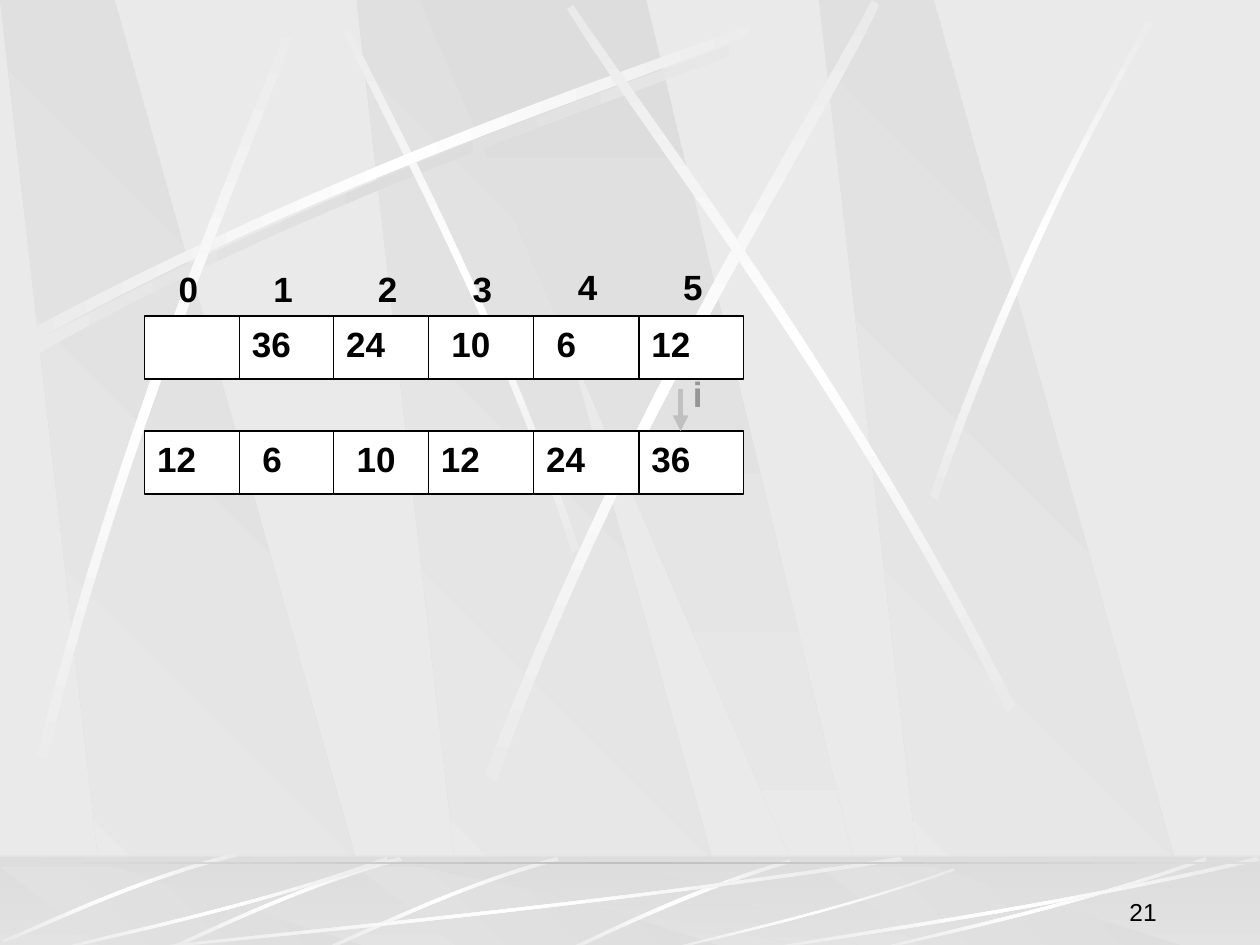
import copy
from dataclasses import dataclass

import pptx
import pptx.dml.color
import pptx.enum.shapes
import pptx.enum.text
import pptx.oxml.ns
import pptx.util
from lxml import etree

Cm, Pt = pptx.util.Cm, pptx.util.Pt
RGB = pptx.dml.color.RGBColor.from_string
qn = pptx.oxml.ns.qn
RECTANGLE = pptx.enum.shapes.MSO_SHAPE.RECTANGLE
STRAIGHT = pptx.enum.shapes.MSO_CONNECTOR.STRAIGHT


@dataclass(frozen=True)
class Theme:
    paper: str = "EAEAEA"
    shade: str = "DDDDDD"
    white: str = "FFFFFF"
    ink: str = "000000"
    arrow: str = "C0C0C0"
    pointer: str = "969696"
    font: str = "Arial"
    value_size: int = 20
    number_size: int = 14


theme = Theme()
FADE = (theme.shade, theme.paper)
GLOW = (theme.paper, theme.white, theme.paper)
SHADOW = (theme.paper, theme.shade, theme.paper)


def paint(shape, colors, angle=0):
    """Fill a borderless shape with evenly spaced gradient colours."""
    shape.shadow.inherit = False
    shape.line.fill.background()
    shape.fill.gradient()
    stop_list = shape.element.spPr.find(qn("a:gradFill")).find(qn("a:gsLst"))
    if len(colors) == 3:
        stop_list.append(copy.deepcopy(stop_list[-1]))
    for i, (stop, color) in enumerate(zip(shape.fill.gradient_stops, colors)):
        stop.color.rgb = RGB(color)
        stop.position = i / (len(colors) - 1)
    shape.fill.gradient_angle = angle


def write(text, left, top, width, height, size, color, bold=True):
    box = slide.shapes.add_textbox(Cm(left), Cm(top), Cm(width), Cm(height))
    box.text_frame.word_wrap = True
    box.text_frame.text = text
    font = box.text_frame.paragraphs[0].runs[0].font
    font.name, font.size, font.bold = theme.font, Pt(size), bold
    font.color.rgb = RGB(color)
    return box.text_frame


deck = pptx.Presentation()
deck.slide_width, deck.slide_height = Cm(25.4), Cm(19.05)
slide = deck.slides.add_slide(deck.slide_layouts[6])
slide.background.fill.solid()
slide.background.fill.fore_color.rgb = RGB(theme.paper)

# Background outlines use a 10 by 7.5 grid, one unit being GRID.
GRID = Cm(2.54)

# Each streak is two cubic curves of four points: out along one edge, back along the other.
wall_streaks = [
    (SHADOW, 0, [(0.2, 2.75), (2.84, 1.34), (5.24, 0.59), (6.26, 0.18),
                 (6.29, 0.24), (5.28, 0.69), (2.54, 1.51), (0.23, 2.85)]),
    (GLOW, 90, [(4.6, 4.36), (3.91, 2.34), (3.02, 0.77), (2.69, 0.05),
                (2.64, 0.07), (2.95, 0.79), (3.98, 2.58), (4.54, 4.39)]),
    (GLOW, 0, [(0.14, 2.67), (2.78, 1.25), (5.18, 0.51), (6.2, 0.1),
               (6.23, 0.16), (5.22, 0.61), (2.48, 1.43), (0.17, 2.77)]),
    (GLOW, 90, [(0.23, 6.25), (0.93, 3.34), (1.97, 1.05), (2.35, 0.02),
                (2.41, 0.04), (2.07, 1.08), (0.86, 3.68), (0.32, 6.29)]),
    (GLOW, 90, [(3.85, 6.14), (4.98, 3.2), (6.38, 1.02), (6.92, 0),
                (6.98, 0.04), (6.49, 1.08), (4.86, 3.55), (3.94, 6.21)]),
    (GLOW, 90, [(8.06, 5.6), (6.7, 2.93), (5.16, 0.95), (4.55, 0.04),
                (4.5, 0.07), (5.07, 1.01), (6.85, 3.25), (7.99, 5.66)]),
    (GLOW, 90, [(7.38, 3.93), (8.14, 1.73), (8.88, 0.66), (9.17, 0),
                (9.27, 0), (8.36, 1.45), (7.69, 3.22), (7.44, 3.97)]),
]
floor_streaks = [(GLOW, 0, points) for points in [
    [(6.27, 6.82), (5.37, 7.09), (4.77, 7.42), (4.48, 7.54),
     (4.53, 7.55), (4.9, 7.37), (5.71, 7), (6.28, 6.85)],
    [(4.42, 6.8), (3.55, 7.05), (2.87, 7.4), (2.56, 7.53),
     (2.57, 7.55), (2.88, 7.43), (3.65, 7.03), (4.44, 6.83)],
    [(3.17, 6.8), (2.3, 7.05), (1.62, 7.4), (1.31, 7.53),
     (1.32, 7.55), (1.63, 7.43), (2.4, 7.03), (3.19, 6.83)],
    [(1.86, 6.77), (0.99, 7), (0.33, 7.34), (0.02, 7.46),
     (0.03, 7.48), (0.34, 7.37), (1.1, 6.98), (1.88, 6.8)],
    [(7.17, 6.83), (4.49, 7.23), (2.06, 7.44), (1.03, 7.55),
     (1, 7.54), (2.02, 7.41), (4.8, 7.18), (7.14, 6.8)],
    [(3.08, 6.83), (1.93, 7.23), (0.88, 7.44), (0.43, 7.55),
     (0.42, 7.54), (0.86, 7.41), (2.06, 7.18), (3.07, 6.8)],
    [(7.58, 6.91), (6.58, 7.26), (5.67, 7.45), (5.28, 7.55),
     (5.27, 7.54), (5.65, 7.43), (6.69, 7.22), (7.57, 6.89)],
    [(9.58, 6.83), (8.43, 7.23), (7.38, 7.44), (6.93, 7.55),
     (6.92, 7.54), (7.36, 7.41), (8.56, 7.18), (9.57, 6.8)],
    [(10, 6.83), (8.27, 7.23), (6.69, 7.44), (6.02, 7.55),
     (6, 7.54), (6.66, 7.41), (8.46, 7.18), (9.98, 6.8)],
]]

for horizon, base, streaks in ((0, 7.52, wall_streaks), (6.88, 7.55, floor_streaks)):
    if horizon:
        floor = slide.shapes.add_shape(RECTANGLE, 0, Cm(17.27), Cm(25.4), Cm(1.9))
        paint(floor, FADE, 270)

    slabs = [(FADE, 225, [(x + 0.86, base), (x + 3.02, base), (x + 0.91, horizon), (x, horizon)])
             for x in (2.83, 0, 6.5)]
    slabs.append((FADE, 270, [(3.33, horizon), (6.58, base), (6.94, base), (5.13, horizon)]))

    for i, (colors, angle, points) in enumerate(slabs + streaks):
        if horizon and i == len(slabs):
            veil = slide.shapes.add_shape(RECTANGLE, 0, Cm(17.25), Cm(25.4), Cm(1.9))
            veil.shadow.inherit = False
            veil.line.fill.background()
            veil.fill.solid()
            veil.fill.fore_color.rgb = RGB(theme.shade)
            veil_color = veil.element.spPr.find(qn("a:solidFill"))[0]
            etree.SubElement(veil_color, qn("a:alpha"), val="50000")

        corners = [(round(x * GRID), round(y * GRID)) for x, y in points]
        builder = slide.shapes.build_freeform(*corners[0])
        builder.add_line_segments(corners[1:], close=True)
        outline = builder.convert_to_shape()
        paint(outline, colors, angle)
        if i >= len(slabs):
            # Turn each edge's three segments into one cubic curve.
            segments = list(outline.element.spPr.iter(qn("a:lnTo")))
            for edge in (segments[:3], segments[4:7]):
                curve = etree.Element(qn("a:cubicBezTo"))
                edge[0].addprevious(curve)
                for segment in edge:
                    curve.append(segment[0])
                    segment.getparent().remove(segment)

horizon_line = slide.shapes.add_shape(RECTANGLE, 0, Cm(17.37), Cm(25.4), Cm(0.05))
paint(horizon_line, (theme.shade, theme.arrow, theme.shade))

# Arrays: three narrow cells, then three wide ones; some values sit a little to the right.
edges = [2.92, 4.83, 6.73, 8.64, 10.76, 12.88, 14.99]
ROW_HEIGHT, TEXT_HEIGHT, NUDGE = 1.27, 1.12, 0.21
arrays = [
    (6.37, ["", "36", "24", "10", "6", "12"], (3, 4)),
    (8.69, ["12", "6", "10", "12", "24", "36"], (1, 2)),
]
rules = []
for top, values, nudged in arrays:
    row = slide.shapes.add_shape(RECTANGLE, Cm(edges[0]), Cm(top),
                                 Cm(edges[-1] - edges[0]), Cm(ROW_HEIGHT))
    row.shadow.inherit = False
    row.fill.solid()
    row.fill.fore_color.rgb = RGB(theme.white)
    row.line.color.rgb = RGB(theme.ink)
    row.line.width = Pt(0.75)
    rules += [(x, top, top + ROW_HEIGHT, theme.ink, 0.75) for x in edges[1:-1]]

rules.append((13.72, 7.85, 8.69, theme.arrow, 3))
for x, top, bottom, color, weight in rules:
    rule = slide.shapes.add_connector(STRAIGHT, Cm(x), Cm(top), Cm(x), Cm(bottom))
    rule.line.color.rgb = RGB(color)
    rule.line.width = Pt(weight)
    etree.SubElement(rule.element.spPr, qn("a:effectLst"))
pointer_line = rule.element.spPr.find(qn("a:ln"))
etree.SubElement(pointer_line, qn("a:tailEnd"), type="triangle")

for top, values, nudged in arrays:
    for i, value in enumerate(values):
        if value:
            left = edges[i] + (NUDGE if i in nudged else 0)
            write(value, left, top, 1.7, TEXT_HEIGHT, theme.value_size, theme.ink)

for i, left in enumerate(edges[:-1]):
    write(str(i), left + (0.43 if i < 2 else 0.64), 5.26 if i < 4 else 5.23,
          0.84, TEXT_HEIGHT, theme.value_size, theme.ink)
write("i", 13.72, 7.39, 0.84, TEXT_HEIGHT, theme.value_size, theme.pointer)

page_number = write("21", 18.29, 17.53, 5.28, 1.27, theme.number_size, theme.ink, bold=False)
page_number.vertical_anchor = pptx.enum.text.MSO_ANCHOR.BOTTOM
page_number.paragraphs[0].alignment = pptx.enum.text.PP_ALIGN.RIGHT

deck.save("out.pptx")
